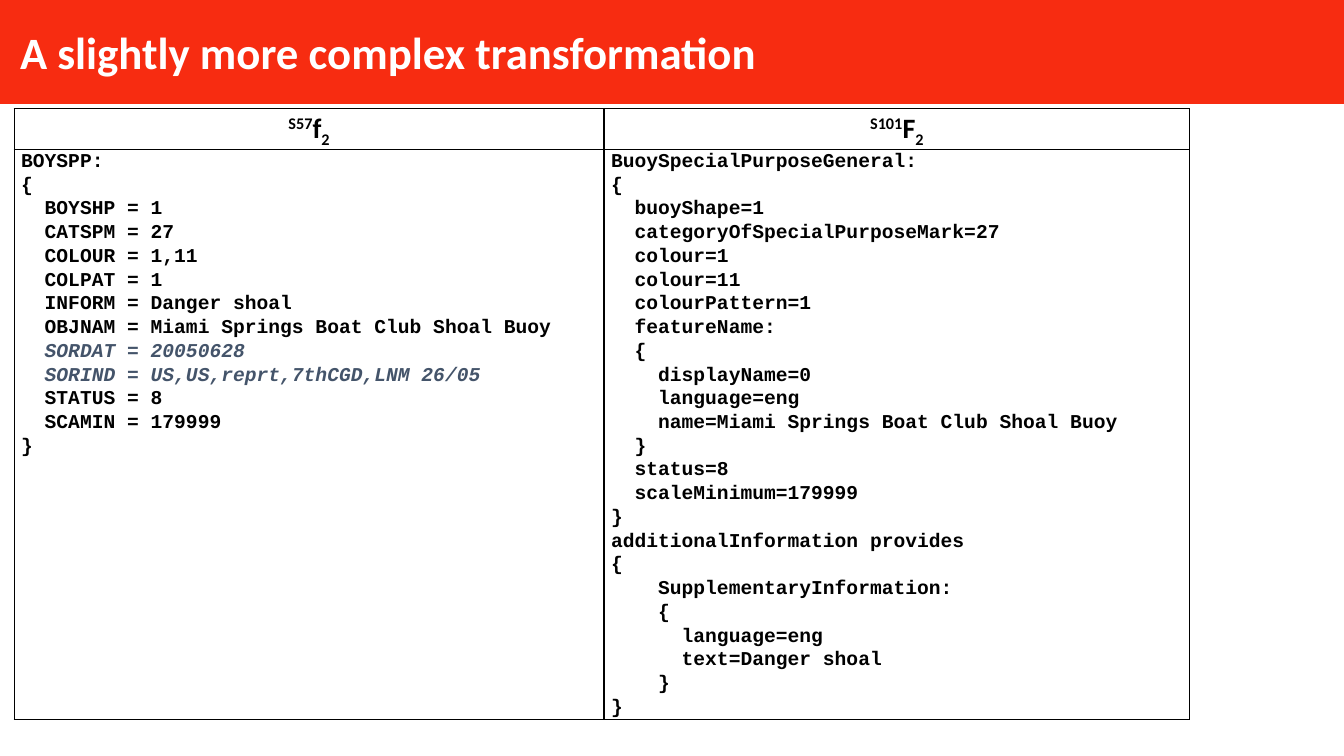
from dataclasses import dataclass
from lxml import etree
from pptx import Presentation
from pptx.dml.color import RGBColor
from pptx.enum.shapes import MSO_SHAPE
from pptx.enum.text import MSO_ANCHOR, PP_ALIGN
from pptx.oxml.ns import qn
from pptx.util import Inches, Pt

PROCESS = MSO_SHAPE.FLOWCHART_PROCESS
MIDDLE = MSO_ANCHOR.MIDDLE
TOP = MSO_ANCHOR.TOP
LEFT = PP_ALIGN.LEFT
CENTER = PP_ALIGN.CENTER
WIDE, HIGH = Inches(13.33), Inches(7.5)


@dataclass(frozen=True)
class Theme:
    red: str = "F72C11"
    white: str = "FFFFFF"
    black: str = "000000"
    slate: str = "44546A"
    sans: str = "Calibri"
    mono: str = "Courier New"
    title: int = 32
    head: int = 20
    code: int = 14
    rule: int = 1
    lead: float = 1.07


THEME = Theme()
BANNER = (0, 0, 1, 0.136)
GRID = (0.0105, 0.144, 0.8747, 0.796)
COLS = (0.4389, 0.4358)
ROWS = (0.0493, 0.7467)
SIDES = ("a:lnL", "a:lnR", "a:lnT", "a:lnB")
INSET = {
    "margin_left": Inches(0.07),
    "margin_right": Inches(0.07),
    "margin_top": 0,
    "margin_bottom": 0,
    "vertical_anchor": TOP,
}

HEADS = (("S57", "f", "2"), ("S101", "F", "2"))
SHIFTS = (30, 0, -25)
DROPPED = ("SORDAT", "SORIND")
SOURCE = """BOYSPP:
{
  BOYSHP = 1
  CATSPM = 27
  COLOUR = 1,11
  COLPAT = 1
  INFORM = Danger shoal
  OBJNAM = Miami Springs Boat Club Shoal Buoy
  SORDAT = 20050628
  SORIND = US,US,reprt,7thCGD,LNM 26/05
  STATUS = 8
  SCAMIN = 179999
}"""
TARGET = """BuoySpecialPurposeGeneral:
{
  buoyShape=1
  categoryOfSpecialPurposeMark=27
  colour=1
  colour=11
  colourPattern=1
  featureName:
  {
    displayName=0
    language=eng
    name=Miami Springs Boat Club Shoal Buoy
  }
  status=8
  scaleMinimum=179999
}
additionalInformation provides
{
    SupplementaryInformation:
    {
      language=eng
      text=Danger shoal
    }
}"""


def place(box):
    return [round(part * size) for part, size in zip(box, (WIDE, HIGH) * 2)]


def apply(item, values):
    for name, value in values.items():
        setattr(item, name, value)


def add_run(para, text, face, size, color, italic=False):
    run = para.add_run()
    run.text = text
    apply(run.font, {"name": face, "size": Pt(size), "bold": True, "italic": italic})
    run.font.color.rgb = RGBColor.from_string(color)
    return run


def add_banner(slide, text):
    shape = slide.shapes.add_shape(PROCESS, *place(BANNER))
    shape.shadow.inherit = False
    red = RGBColor.from_string(THEME.red)
    shape.fill.solid()
    shape.fill.fore_color.rgb = red
    shape.line.color.rgb = red
    shape.line.width = Pt(THEME.rule)
    frame = shape.text_frame
    apply(frame, {"margin_left": Inches(0.2), "word_wrap": True, "vertical_anchor": MIDDLE})
    para = frame.paragraphs[0]
    para.alignment = LEFT
    add_run(para, text, THEME.sans, THEME.title, THEME.white)


def style_cell(cell):
    apply(cell, INSET)
    props = cell._tc.get_or_add_tcPr()
    for side in SIDES:
        line = etree.SubElement(props, qn(side), w=str(Pt(THEME.rule)))
        fill = etree.SubElement(line, qn("a:solidFill"))
        etree.SubElement(fill, qn("a:srgbClr"), val=THEME.black)
    cell.fill.background()


def fill_head(cell, parts):
    para = cell.text_frame.paragraphs[0]
    apply(para, {"alignment": CENTER, "line_spacing": THEME.lead})
    for text, shift in zip(parts, SHIFTS):
        run = add_run(para, text, THEME.sans, THEME.head, THEME.black)
        if shift:
            run.font._element.set("baseline", str(shift * 1000))


def fill_code(cell, code):
    frame = cell.text_frame
    for index, line in enumerate(code.splitlines()):
        para = frame.add_paragraph() if index else frame.paragraphs[0]
        apply(para, {"alignment": LEFT, "line_spacing": THEME.lead})
        faded = line.strip().startswith(DROPPED)
        color = THEME.slate if faded else THEME.black
        add_run(para, line, THEME.mono, THEME.code, color, faded)


def add_grid(slide, heads, codes):
    table = slide.shapes.add_table(len(ROWS), len(COLS), *place(GRID)).table
    apply(table, {"first_row": False, "horz_banding": False})
    for col, share in zip(table.columns, COLS):
        col.width = round(share * WIDE)
    for row, share in zip(table.rows, ROWS):
        row.height = round(share * HIGH)
    for cell in table.iter_cells():
        style_cell(cell)
    for index, (head, code) in enumerate(zip(heads, codes)):
        fill_head(table.cell(0, index), head)
        fill_code(table.cell(1, index), code)


def main():
    deck = Presentation()
    apply(deck, {"slide_width": WIDE, "slide_height": HIGH})
    slide = deck.slides.add_slide(deck.slide_layouts[6])
    add_banner(slide, "A slightly more complex transformation")
    add_grid(slide, HEADS, (SOURCE, TARGET))
    deck.save("out.pptx")


if __name__ == "__main__":
    main()
